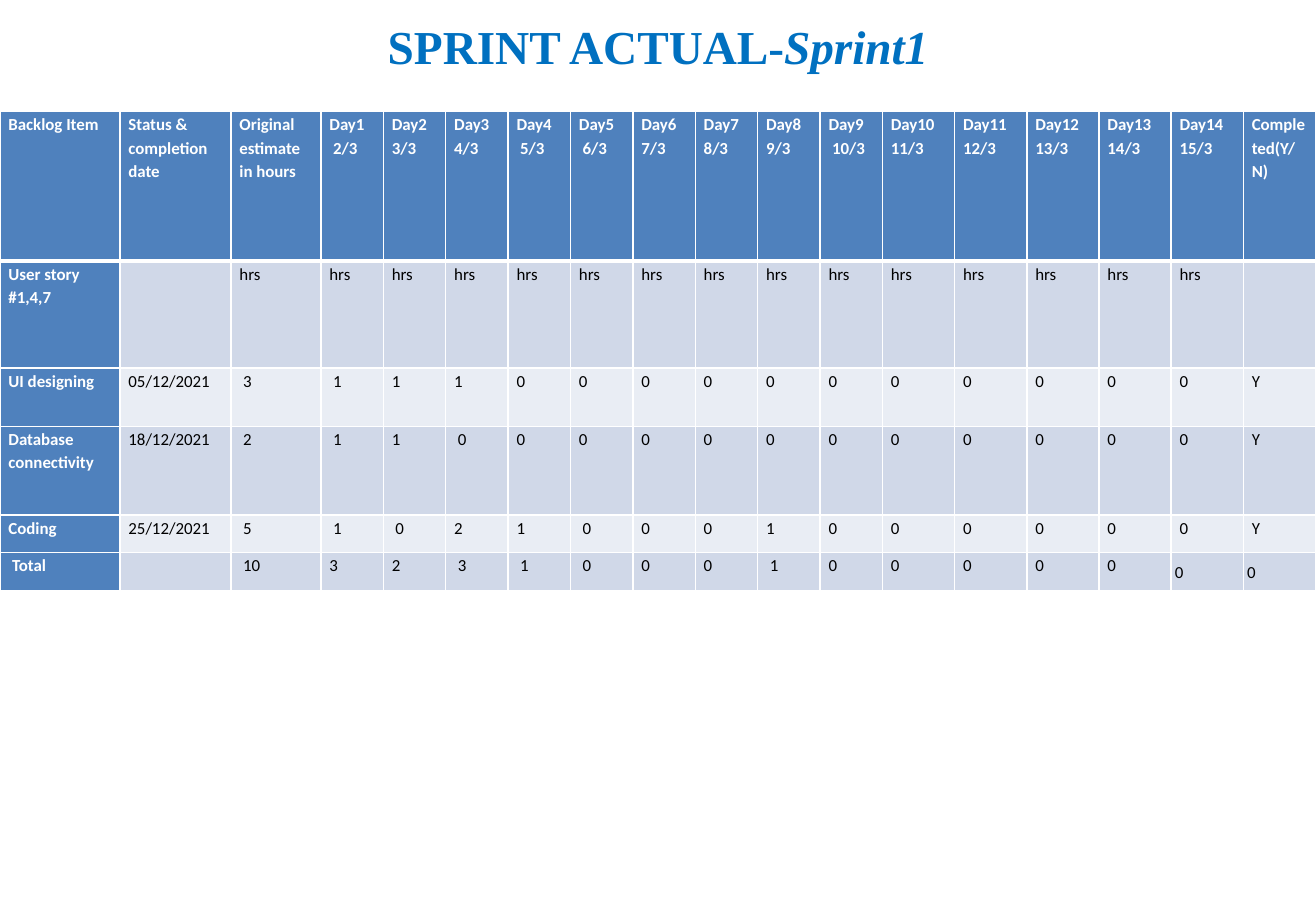
from dataclasses import dataclass
from lxml.etree import SubElement
from pptx import Presentation
from pptx.dml.color import RGBColor as Color
from pptx.enum.text import MSO_ANCHOR as Anchor, PP_ALIGN as Align
from pptx.oxml.ns import qn
from pptx.util import Emu, Inches, Pt


@dataclass(frozen=True)
class Theme:
    title: str = "0070C0"
    header: str = "4F81BD"
    bands: tuple = ("E9EDF4", "D0D8E8")
    light: str = "FFFFFF"
    dark: str = "000000"
    title_font: str = "Times New Roman"
    table_font: str = "Calibri"
    title_size: int = 28
    table_size: int = 10


theme = Theme()


def write(paragraph, text, *, font, size, color, bold=False, italic=False, align=Align.LEFT, spacing=1.0):
    paragraph.alignment = align
    paragraph.line_spacing = spacing
    run = paragraph.add_run()
    run.text = text
    run.font.name = font
    run.font.size = Pt(size)
    run.font.bold = bold
    run.font.italic = italic
    run.font.color.rgb = Color.from_string(color)


def add_border(cell, side, width):
    line = SubElement(cell._tc.get_or_add_tcPr(), qn(f"a:{side}"), w=str(Pt(width)))
    fill = SubElement(line, qn("a:solidFill"))
    SubElement(fill, qn("a:srgbClr"), val=theme.light)


presentation = Presentation()
presentation.slide_width = Inches(10.83)
presentation.slide_height = Inches(7.5)
slide_width, slide_height = presentation.slide_width, presentation.slide_height
slide = presentation.slides.add_slide(presentation.slide_layouts[6])

title = slide.shapes.add_textbox(
    Emu(int(slide_width * 0.05)), 0, Emu(int(slide_width * 0.9)), Inches(0.76)
)
title.text_frame.word_wrap = True
title.text_frame.vertical_anchor = Anchor.MIDDLE
for text, italic in (("SPRINT ACTUAL-", False), ("Sprint1", True)):
    write(title.text_frame.paragraphs[0], text, font=theme.title_font, size=theme.title_size,
          color=theme.title, bold=True, italic=italic, align=Align.CENTER)

day_count = 14
indented_dates = {1, 4, 5, 9}
days = [f"Day{day}\n{'>' if day in indented_dates else ''}{day + 1}/3" for day in range(1, day_count + 1)]
rows = [
    ["Backlog Item", "Status & completion date", "Original estimate in hours", *days, "Completed(Y/N)"],
    ["User story #1,4,7", "", *["hrs"] * (day_count + 1), ""],
    ["UI designing", "05/12/2021", ">3", ">1", "1", "1", *["0"] * 11, "Y"],
    ["Database connectivity", "18/12/2021", ">2", ">1", "1", ">0", *["0"] * 11, "Y"],
    ["Coding", "25/12/2021", ">5", ">1", ">0", "2", "1", ">0", "0", "0", "1", *["0"] * 6, "Y"],
    [">Total", "", ">10", "3", "2", ">3", ">1", ">0", "0", "0", ">1", *["0"] * 5, ">0", ">0"],
]
column_shares = [10, 9.25, 7.5] + [5.2] * 9 + [6.02] * 6
row_heights = [1.23, 0.88, 0.48, 0.73, 0.31, 0.31]

table_frame = slide.shapes.add_table(
    len(rows), len(column_shares), 0, Inches(0.92), slide_width, Inches(sum(row_heights))
)
table = table_frame.table
for column, share in zip(table.columns, column_shares):
    column.width = Emu(int(slide_width * share / sum(column_shares)))
for row, height in zip(table.rows, row_heights):
    row.height = Inches(height)

for row_index, values in enumerate(rows):
    for column_index, text in enumerate(values):
        cell = table.cell(row_index, column_index)
        is_heading = row_index == 0 or column_index == 0
        is_closing_total = row_index == len(rows) - 1 and column_index >= len(values) - 2
        cell.margin_left = cell.margin_right = 0 if is_closing_total else Inches(0.07)
        cell.margin_top = cell.margin_bottom = 0
        cell.vertical_anchor = Anchor.MIDDLE if is_closing_total else Anchor.TOP
        for side in ("lnL", "lnR", "lnT", "lnB"):
            thick = (row_index, side) in ((0, "lnB"), (1, "lnT"))
            add_border(cell, side, 3 if thick else 1)
        cell.fill.solid()
        cell.fill.fore_color.rgb = Color.from_string(
            theme.header if is_heading else theme.bands[row_index % 2]
        )
        for line_index, line in enumerate(text.split("\n") if text else []):
            frame = cell.text_frame
            paragraph = frame.add_paragraph() if line_index else frame.paragraphs[0]
            if line.startswith(">"):
                paragraph._p.get_or_add_pPr().set("marL", str(Inches(0.03)))
            write(paragraph, line.lstrip(">"), font=theme.table_font, size=theme.table_size,
                  color=theme.light if is_heading else theme.dark, bold=is_heading, spacing=1.15)

presentation.save("out.pptx")
